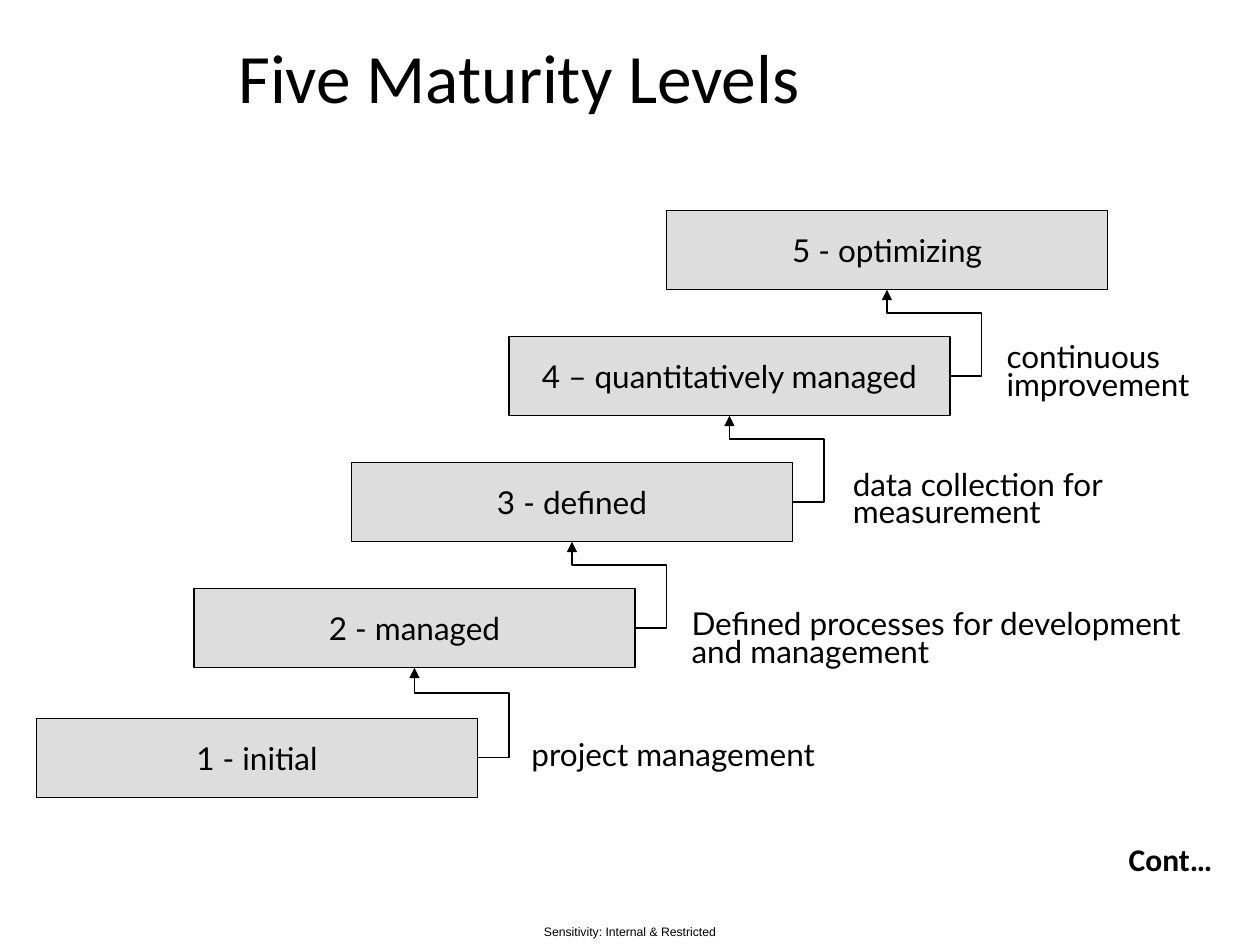
from dataclasses import dataclass

import pptx
import pptx.dml.color
import pptx.enum.shapes
import pptx.enum.text
import pptx.oxml
import pptx.oxml.ns
import pptx.util
from pptx.util import Inches

ALIGN = pptx.enum.text.PP_ALIGN
ANCHOR = pptx.enum.text.MSO_ANCHOR


@dataclass(frozen=True)
class Theme:
    ink: str = "000000"
    box_fill: str = "DDDDDD"
    line_width: float = 0.75
    body_font: str = "Lato"
    title_font: str = "Calibri"
    footer_font: str = "Arial"
    title_size: float = 39.6
    body_size: float = 18
    footer_size: float = 7
    body_spacing: float = 0.74
    cont_spacing: float = 0.82


@dataclass(frozen=True)
class Area:
    left: float
    top: float
    width: float
    height: float


@dataclass(frozen=True)
class Level:
    name: str
    top: float


@dataclass(frozen=True)
class Practice:
    text: str
    area: Area


THEME = Theme()

# Staircase geometry
FIRST_LEFT, STEP_RIGHT = 0.29, 1.25
BOX_WIDTH, BOX_HEIGHT = 3.5, 0.63
LABEL_INSET, LABEL_DROP, LABEL_HEIGHT = 0.1, 0.19, 0.32
ARROW_RUN = 0.5

LEVELS = [
    Level("1 - initial", 5.7),
    Level("2 - managed", 4.67),
    Level("3 - defined", 3.67),
    Level("4 – quantitatively managed", 2.67),
    Level("5 - optimizing", 1.67),
]
PRACTICES = [
    Practice("project management", Area(4.12, 5.86, 3.67, 0.32)),
    Practice("Defined processes for development and management", Area(5.39, 4.82, 4.24, 0.55)),
    Practice("data collection for measurement", Area(6.67, 3.71, 2.21, 0.55)),
    Practice("continuous improvement", Area(7.89, 2.7, 1.82, 0.55)),
]


def color(value: str):
    return pptx.dml.color.RGBColor.from_string(value)


def set_attributes(target, values: dict) -> None:
    for name, value in values.items():
        setattr(target, name, value)


def inches(area: Area) -> list:
    return [Inches(n) for n in (area.left, area.top, area.width, area.height)]


def add_text(slide, text: str, area: Area, font: str = THEME.body_font,
             size: float = THEME.body_size, align=ALIGN.LEFT, bold: bool = False,
             spacing: float = THEME.body_spacing, frame_format: dict | None = None) -> None:
    frame = slide.shapes.add_textbox(*inches(area)).text_frame
    set_attributes(frame, {"word_wrap": True, **(frame_format or {})})
    paragraph = frame.paragraphs[0]
    set_attributes(paragraph, {"alignment": align, "line_spacing": spacing})
    run = paragraph.add_run()
    run.text = text
    set_attributes(run.font, {"name": font, "size": pptx.util.Pt(size), "bold": bold})
    run.font.color.rgb = color(THEME.ink)


def style_line(line) -> None:
    line.color.rgb = color(THEME.ink)
    line.width = pptx.util.Pt(THEME.line_width)


def level_area(index: int) -> Area:
    return Area(FIRST_LEFT + index * STEP_RIGHT, LEVELS[index].top, BOX_WIDTH, BOX_HEIGHT)


def add_level(slide, index: int) -> None:
    area = level_area(index)
    box = slide.shapes.add_shape(pptx.enum.shapes.MSO_SHAPE.RECTANGLE, *inches(area))
    box.shadow.inherit = False
    box.fill.solid()
    box.fill.fore_color.rgb = color(THEME.box_fill)
    style_line(box.line)
    label = Area(area.left + LABEL_INSET, area.top + LABEL_DROP,
                 area.width - 2 * LABEL_INSET, LABEL_HEIGHT)
    add_text(slide, LEVELS[index].name, label, align=ALIGN.CENTER)


def add_step_arrow(slide, lower: Area, upper: Area) -> None:
    """Run from the right side of one level to the bottom of the next."""
    right = lower.left + lower.width
    connector = slide.shapes.add_connector(
        pptx.enum.shapes.MSO_CONNECTOR.ELBOW,
        Inches(right), Inches(lower.top + lower.height / 2),
        Inches(right - ARROW_RUN), Inches(upper.top + upper.height))
    style_line(connector.line)

    # Four-part elbow: out past the box, up, back to the left, up
    gap = lower.top - upper.top - upper.height
    rise = gap + lower.height / 2
    bends = {"adj1": -0.5, "adj2": 1 - gap / 2 / rise}
    properties = connector._element.spPr
    geometry = properties.find(pptx.oxml.ns.qn("a:prstGeom"))
    geometry.set("prst", "bentConnector4")
    guides = geometry.get_or_add_avLst()
    for name, ratio in bends.items():
        guide = pptx.oxml.parse_xml(f'<a:gd {pptx.oxml.ns.nsdecls("a")}/>')
        guide.set("name", name)
        guide.set("fmla", f"val {round(ratio * 100000)}")
        guides.append(guide)

    # Arrowhead and no shadow
    head = pptx.oxml.parse_xml(f'<a:tailEnd {pptx.oxml.ns.nsdecls("a")} type="triangle"/>')
    properties.find(pptx.oxml.ns.qn("a:ln")).append(head)
    properties.append(pptx.oxml.parse_xml(f'<a:effectLst {pptx.oxml.ns.nsdecls("a")}/>'))


def main() -> None:
    presentation = pptx.Presentation()
    set_attributes(presentation, {"slide_width": Inches(10), "slide_height": Inches(7.5)})
    slide = presentation.slides.add_slide(presentation.slide_layouts[6])

    # Footer and title
    margins = ("margin_left", "margin_top", "margin_right", "margin_bottom")
    tight = {"vertical_anchor": ANCHOR.MIDDLE, **dict.fromkeys(margins, 0)}
    add_text(slide, "Sensitivity: Internal & Restricted", Area(4.18, 7.28, 1.64, 0.22),
             THEME.footer_font, THEME.footer_size, ALIGN.CENTER, spacing=1.0, frame_format=tight)
    add_text(slide, "Five Maturity Levels", Area(0.16, 0.32, 7.92, 0.57),
             THEME.title_font, THEME.title_size, ALIGN.CENTER, spacing=1.0, frame_format=tight)

    # Levels, the arrows between them, and what each step needs
    for index in range(len(LEVELS)):
        add_level(slide, index)
    for index in range(len(LEVELS) - 1):
        add_step_arrow(slide, level_area(index), level_area(index + 1))
    for practice in PRACTICES:
        add_text(slide, practice.text, practice.area)

    # Continuation mark
    add_text(slide, "Cont…", Area(8.86, 6.67, 1.06, 0.35), THEME.title_font,
             bold=True, spacing=THEME.cont_spacing)

    presentation.save("out.pptx")


if __name__ == "__main__":
    main()
